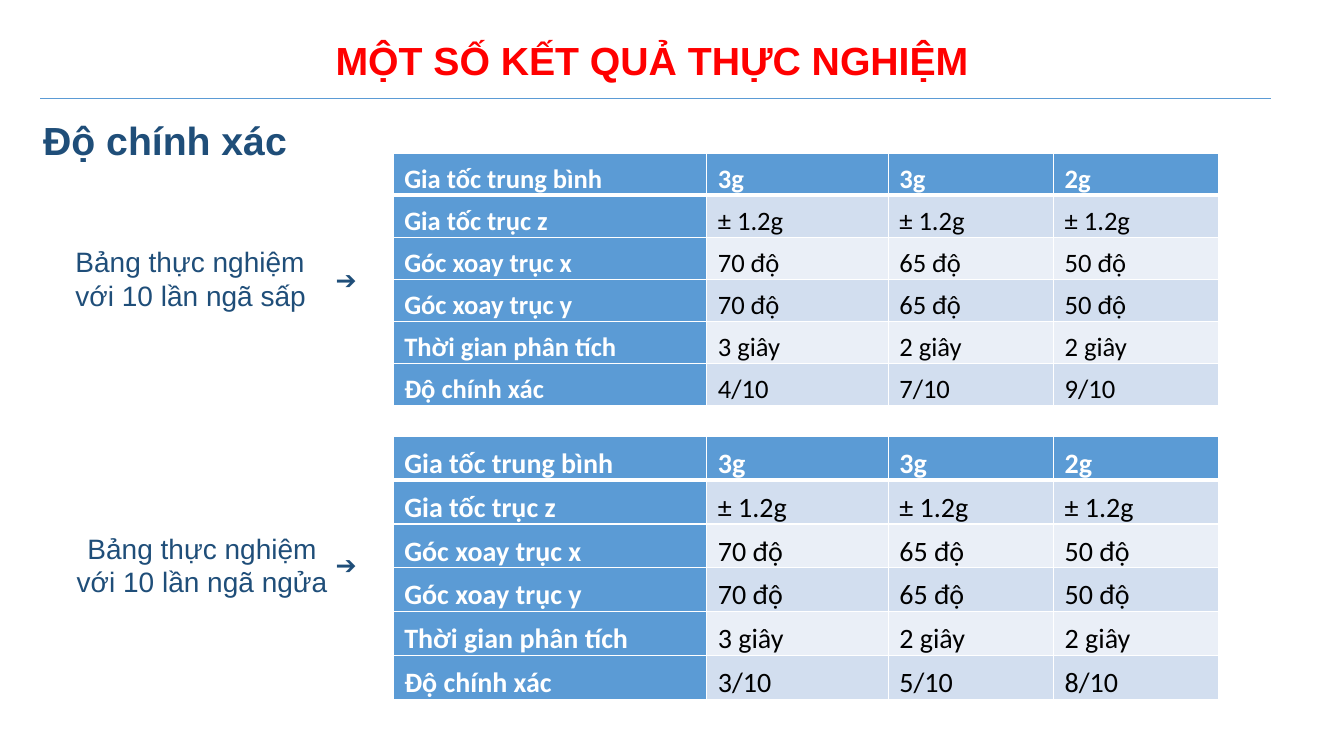
from lxml import etree
from pptx import Presentation
from pptx.dml.color import RGBColor
from pptx.enum import shapes, text
from pptx.oxml import ns
from pptx.util import Inches, Pt

RED = RGBColor(0xFF, 0x00, 0x00)
NAVY = RGBColor(0x1F, 0x4E, 0x79)
BLUE = RGBColor(0x5B, 0x9B, 0xD5)
BAND_DARK = RGBColor(0xD2, 0xDE, 0xEF)
BAND_LIGHT = RGBColor(0xEA, 0xEF, 0xF7)
WHITE = RGBColor(0xFF, 0xFF, 0xFF)
BLACK = RGBColor(0x00, 0x00, 0x00)
LEFT, CENTER = text.PP_ALIGN.LEFT, text.PP_ALIGN.CENTER

# Content
TITLE = "MỘT SỐ KẾT QUẢ THỰC NGHIỆM"
HEADING = "Độ chính xác"
ARROW = "➔"
SETTINGS = [
    ("Gia tốc trung bình", "3g", "3g", "2g"),
    ("Gia tốc trục z", "± 1.2g", "± 1.2g", "± 1.2g"),
    ("Góc xoay trục x", "70 độ", "65 độ", "50 độ"),
    ("Góc xoay trục y", "70 độ", "65 độ", "50 độ"),
    ("Thời gian phân tích", "3 giây", "2 giây", "2 giây"),
]
COLUMN_WIDTHS = (3.11, 1.8, 1.64, 1.64)
EXPERIMENTS = [
    dict(accuracy=("Độ chính xác", "4/10", "7/10", "9/10"),
         top=1.52, height=2.5, size=19,
         label=[("Bảng thực nghiệm", LEFT), ("với 10 lần ngã sấp", CENTER)],
         label_box=(0.65, 2.38, 2.51, 0.77), arrow_top=2.57),
    dict(accuracy=("Độ chính xác", "3/10", "5/10", "8/10"),
         top=4.33, height=2.61, size=20,
         label=[("Bảng thực nghiệm", CENTER), ("với 10 lần ngã ngửa", CENTER)],
         label_box=(0.65, 5.22, 2.71, 0.77), arrow_top=5.4),
]

deck = Presentation()
deck.slide_width, deck.slide_height = Inches(13.33), Inches(7.5)
slide = deck.slides.add_slide(deck.slide_layouts[6])


def add_run(paragraph, words, font, size, color, bold=False):
    run = paragraph.add_run()
    run.text = words
    run.font.name, run.font.size = font, Pt(size)
    run.font.bold, run.font.color.rgb = bold, color


def add_text(box, lines, font, size, color, bold=False, wrap=False):
    frame = slide.shapes.add_textbox(*map(Inches, box)).text_frame
    frame.word_wrap = wrap
    if not wrap:
        frame.auto_size = text.MSO_AUTO_SIZE.SHAPE_TO_FIT_TEXT
    for i, (words, align) in enumerate(lines):
        paragraph = frame.add_paragraph() if i else frame.paragraphs[0]
        paragraph.alignment = align
        add_run(paragraph, words, font, size, color, bold)
    return frame


def add_borders(cell, widths):
    props = cell._tc.get_or_add_tcPr()
    for i, (side, width) in enumerate(zip("LRTB", widths)):
        line = etree.Element(ns.qn(f"a:ln{side}"), w=str(Pt(width)))
        fill = etree.SubElement(line, ns.qn("a:solidFill"))
        etree.SubElement(fill, ns.qn("a:srgbClr"), val=str(WHITE))
        props.insert(i, line)


def add_results(rows, top, height, size):
    table = slide.shapes.add_table(
        len(rows), len(COLUMN_WIDTHS), Inches(3.9), Inches(top),
        Inches(sum(COLUMN_WIDTHS)), Inches(height)).table
    for column, width in zip(table.columns, COLUMN_WIDTHS):
        column.width = Inches(width)
    for r, row in enumerate(rows):
        table.rows[r].height = Inches(height / len(rows))
        for c, words in enumerate(row):
            cell = table.cell(r, c)
            header = r == 0 or c == 0
            cell.fill.solid()
            cell.fill.fore_color.rgb = (
                BLUE if header else BAND_DARK if r % 2 else BAND_LIGHT)
            # A thick rule divides the header row from the body
            add_borders(cell, (1, 1, 3 if r == 1 else 1, 3 if r == 0 else 1))
            cell.margin_left = cell.margin_right = Inches(0.11)
            cell.margin_top = cell.margin_bottom = 0
            paragraph = cell.text_frame.paragraphs[0]
            paragraph.alignment = text.PP_ALIGN.JUSTIFY
            paragraph.line_spacing, paragraph.space_after = 1.3, Pt(6)
            add_run(paragraph, words, "Calibri", size,
                    WHITE if header else BLACK, header)


# Title, rule and heading
title = add_text((3.23, 0.31, 6.55, 0.57), [(TITLE, LEFT)], "Arial", 28, RED, True)
title.vertical_anchor = text.MSO_ANCHOR.MIDDLE
rule = slide.shapes.add_connector(
    shapes.MSO_CONNECTOR.STRAIGHT,
    Inches(0.4), Inches(0.98), Inches(12.61), Inches(0.98))
rule.line.color.rgb, rule.line.width = BLUE, Pt(0.75)
etree.SubElement(rule._element.spPr, ns.qn("a:effectLst"))
heading = add_text((0.33, 1.16, 4.09, 1.42), [(HEADING, LEFT)],
                   "Arial", 28, NAVY, True, wrap=True)
heading.paragraphs[0].line_spacing = 0.9

# Experiments: results, label and arrow
for test in EXPERIMENTS:
    add_results(SETTINGS + [test["accuracy"]],
                test["top"], test["height"], test["size"])
    add_text(test["label_box"], test["label"], "Arial", 20, NAVY)
    add_text((3.23, test["arrow_top"], 0.47, 0.4), [(ARROW, LEFT)],
             "Calibri", 18, NAVY)

deck.save("out.pptx")
